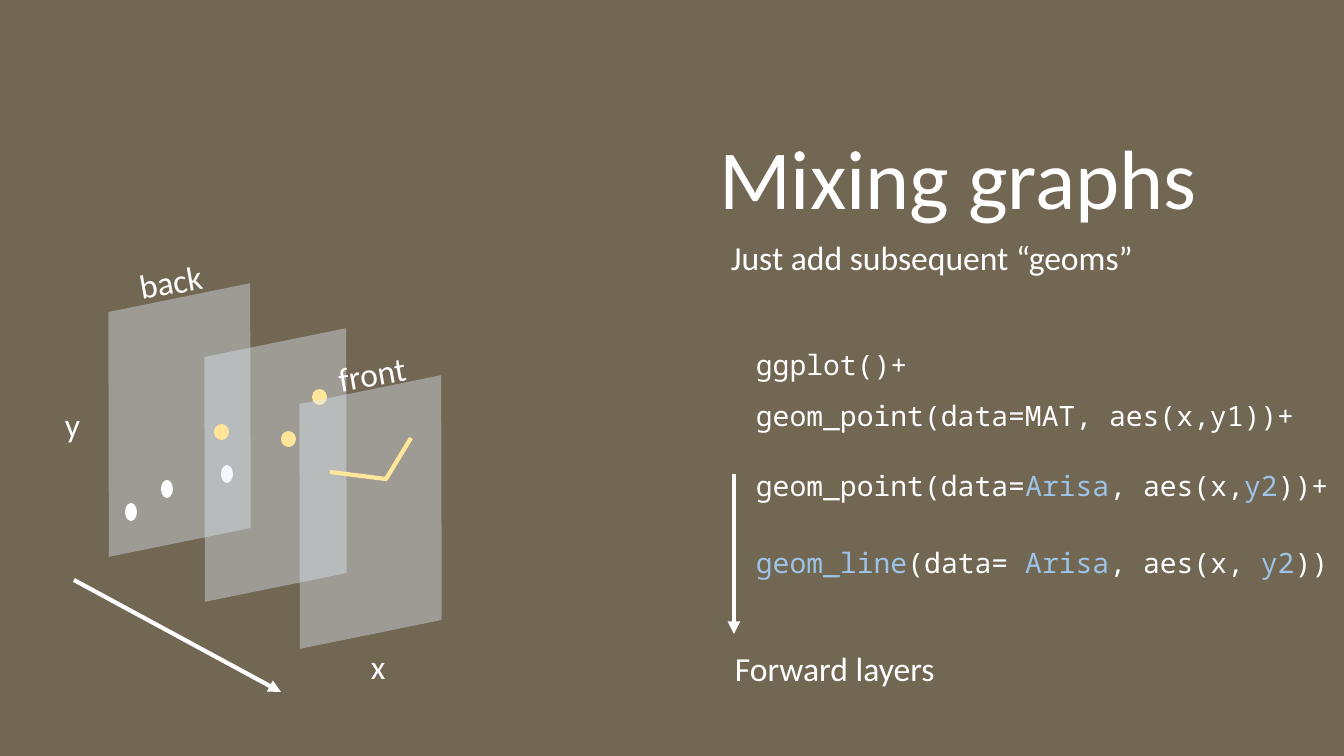
from lxml import etree
from pptx import Presentation
from pptx.dml.color import RGBColor
from pptx.enum.shapes import MSO_CONNECTOR, MSO_SHAPE
from pptx.enum.text import MSO_ANCHOR, MSO_AUTO_SIZE, PP_ALIGN
from pptx.oxml.ns import qn
from pptx.util import Emu, Pt

PX = 914400 / 100.8
WHITE, SKY, YELLOW, PANE = "FFFFFF", "9DC3E6", "FFE699", "DEEBF7"
TEXT_FONT, CODE_FONT = "Calibri", "Noto Sans Mono"


def px(*lengths):
    """Turn pixel lengths into EMU."""
    return [Emu(round(length * PX)) for length in lengths]


def paint(target, color):
    """Give a font or line color, or a fill, a hex color."""
    if hasattr(target, "solid"):
        target.solid()
        target = target.fore_color
    target.rgb = RGBColor.from_string(color)


def fit_frame(frame):
    """Let a text frame grow around unwrapped text."""
    frame.word_wrap = False
    frame.auto_size = MSO_AUTO_SIZE.SHAPE_TO_FIT_TEXT
    frame.vertical_anchor = MSO_ANCHOR.TOP


def style(paragraph, size, font=TEXT_FONT):
    """Set the typeface, size and left alignment of a paragraph."""
    paragraph.alignment = PP_ALIGN.LEFT
    paragraph.font.size = Pt(size)
    paragraph.font.name = font
    paint(paragraph.font.color, WHITE)


def add_title(slide, text, left, top, width, height):
    """Fill and place the title placeholder."""
    title = slide.shapes.title
    title.left, title.top, title.width, title.height = px(left, top, width, height)
    fit_frame(title.text_frame)
    title.text_frame.text = text
    style(title.text_frame.paragraphs[0], 60)


def add_label(slide, text, left, top, width, rotation=0):
    """Add a one-line label."""
    label = slide.shapes.add_textbox(*px(left, top, width, 50))
    label.rotation = rotation
    fit_frame(label.text_frame)
    label.text_frame.text = text
    style(label.text_frame.paragraphs[0], 24)


def add_code(slide, lines, top, width, height):
    """Add code lines, each a list of text and color pairs."""
    code = slide.shapes.add_textbox(*px(746, top, width, height))
    frame = code.text_frame
    fit_frame(frame)
    paragraph = frame.paragraphs[0]
    paragraph.line_spacing = 1.5
    style(paragraph, 20, CODE_FONT)
    for number, line in enumerate(lines):
        if number:
            paragraph.add_line_break()
        for text, color in line:
            run = paragraph.add_run()
            run.text = text
            run.font.size = Pt(20)
            run.font.name = CODE_FONT
            paint(run.font.color, color)


def add_pane(slide, left, top):
    """Add a translucent layer of the stacked plot."""
    pane = slide.shapes.add_shape(MSO_SHAPE.PARALLELOGRAM, *px(left, top, 193, 240))
    pane.rotation = 168.5
    pane.shadow.inherit = False
    paint(pane.fill, PANE)
    pane.line.fill.background()
    fill_color = pane.fill._xPr.find(qn("a:solidFill"))[0]
    etree.SubElement(fill_color, qn("a:alpha"), val="40000")


def add_points(slide, positions, width, height, color):
    """Add the grouped data points of one layer."""
    points = slide.shapes.add_group_shape()
    for left, top in positions:
        point = points.shapes.add_shape(MSO_SHAPE.OVAL, *px(left, top, width, height))
        point.shadow.inherit = False
        paint(point.fill, color)
        point.line.fill.background()


def add_series_line(slide, start, *rest):
    """Add the open line of the front layer."""
    builder = slide.shapes.build_freeform(*start, scale=PX)
    builder.add_line_segments(rest, close=False)
    series = builder.convert_to_shape()
    series.shadow.inherit = False
    series.fill.background()
    paint(series.line.fill, YELLOW)
    series.line.width = Pt(3)


def add_arrow(slide, *ends):
    """Add a white arrow from start to end."""
    arrow = slide.shapes.add_connector(MSO_CONNECTOR.STRAIGHT, *px(*ends))
    paint(arrow.line.fill, WHITE)
    arrow.line.width = Pt(3)
    etree.SubElement(arrow.line._get_or_add_ln(), qn("a:tailEnd"), type="triangle")
    etree.SubElement(arrow._element.spPr, qn("a:effectLst"))


def main():
    """Build the slide on layered graphs."""
    deck = Presentation()
    deck.slide_width, deck.slide_height = px(1344, 756)
    slide = deck.slides.add_slide(deck.slide_layouts[5])
    paint(slide.background.fill, "726753")

    add_title(slide, "Mixing graphs", 709, 120, 503, 112)
    add_label(slide, "Just add subsequent “geoms”", 721, 232, 426)
    add_code(slide, [[("ggplot()+", WHITE)],
                     [("geom_point(data=MAT, aes(x,y1))+", WHITE)]], 326, 563, 106)
    add_code(slide, [[("geom_point(data=", WHITE), ("Arisa", SKY), (", aes(x,", WHITE),
                      ("y2", SKY), ("))+", WHITE)]], 447, 597, 54)
    add_code(slide, [[("geom_line", SKY), ("(data=", WHITE), (" Arisa", SKY),
                      (", aes(x,", WHITE), (" y2", SKY), ("))", WHITE)]], 524, 597, 54)
    add_label(slide, "y", 55, 399, 35)
    add_label(slide, "x", 361, 641, 35)

    add_pane(slide, 83, 300)
    add_points(slide, [(125, 503), (161, 480), (221, 465)], 12, 18, WHITE)
    add_pane(slide, 179, 345)
    add_points(slide, [(214, 424), (281, 431), (312, 389)], 15, 16, YELLOW)
    add_pane(slide, 274, 392)
    add_series_line(slide, (330, 472), (386, 479), (411, 438))

    add_arrow(slide, 74, 580, 281, 692)
    add_label(slide, "front", 328, 348, 89, 350)
    add_label(slide, "back", 129, 256, 84, 350)
    add_arrow(slide, 734, 474, 734, 634)
    add_label(slide, "Forward layers", 725, 643, 222)
    deck.save("out.pptx")


if __name__ == "__main__":
    main()
